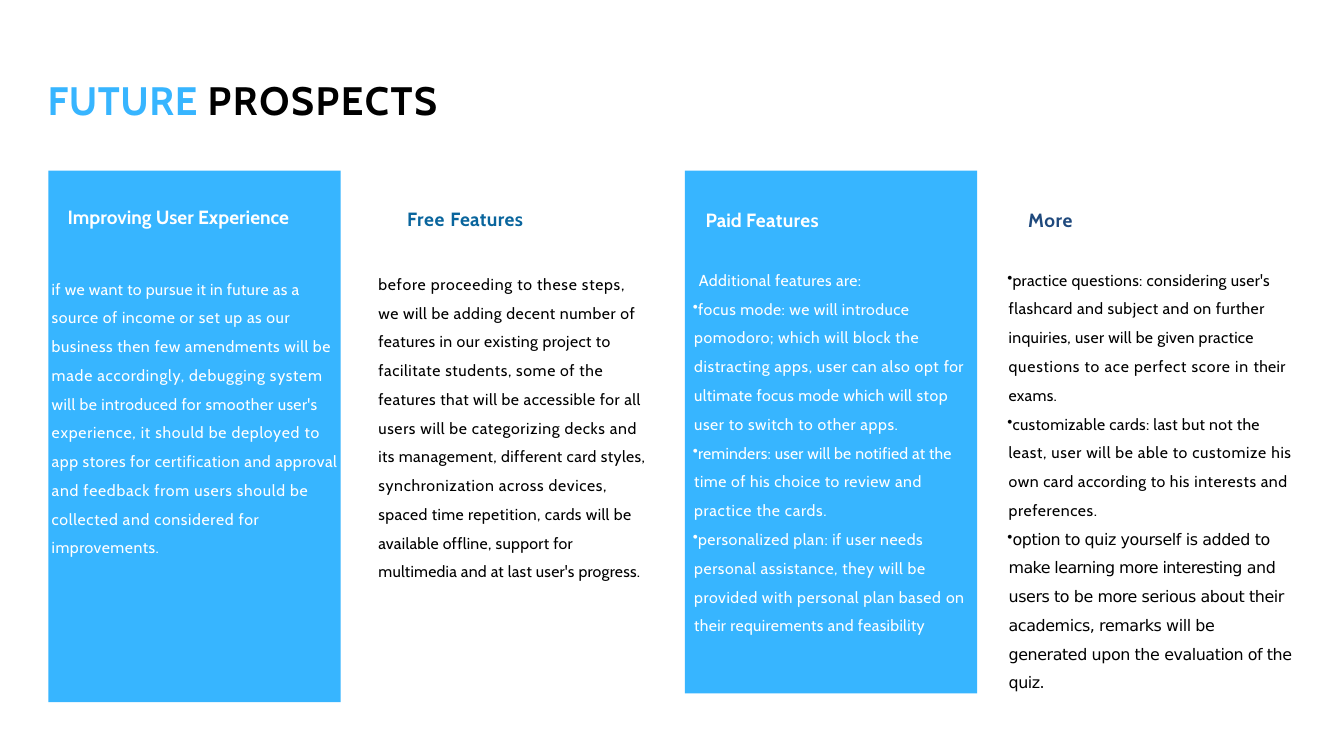
from pptx import Presentation, util as u
from pptx.dml.color import RGBColor
from pptx.enum import shapes, text
from lxml import etree

COLORS = {"sky": "37B5FF", "white": "FFFFFF", "black": "000000",
          "teal": "09659D", "navy": "1F497D"}
WIDTH, HEIGHT = u.Inches(20), u.Inches(11.25)
FONT, WIDE_FONT = "Cabin", "DejaVu Sans"
HEADING_SIZE, BODY_SIZE, BODY_LEADING = 20.5, 17, 1.51
COLUMN_TOP, COLUMN_WIDTH = 22.58, 21.75

# Every phrase carries its letter spacing in hundredths of a point
EXPERIENCE = [
    (34, "if we want to pursue it in future as a "),
    (59, "source of income or set up as our "),
    (57, "business then few amendments will be "),
    (76, "made accordingly, debugging system "),
    (43, "will be introduced for smoother user's "),
    (79, "experience, it should be deployed to "),
    (56, "app stores for certification and approval "),
    (76, "and feedback from users should be "),
    (72, "collected and considered for "),
    (50, "improvements.")]
FREE = [
    (80, "before proceeding to these steps, "),
    (58, "we will be adding decent number of "),
    (45, "features in our existing project to "),
    (65, "facilitate students, some of the "),
    (55, "features that will be accessible for all "),
    (69, "users will be categorizing decks and "),
    (44, "its management, different card styles, "),
    (70, "synchronization across devices, "),
    (43, "spaced time repetition, cards will be "),
    (31, "available offline, support for "),
    (25, "multimedia and at last user's progress.")]
PAID = [
    [(49, "focus mode: we will introduce "),
     (59, "pomodoro; which will block the "),
     (66, "distracting apps, user can also opt "),
     (39, "for ultimate focus mode which will "),
     (63, "stop user to switch to other apps.")],
    [(19, "reminders: user will be notified at the "),
     (58, "time of his choice to review and "),
     (74, "practice the cards.")],
    [(55, "personalized plan: if user needs "),
     (61, "personal assistance, they will be "),
     (59, "provided with personal plan based "),
     (37, "on their requirements and feasibility")]]
MORE = [
    [(34, "practice questions: considering user's "),
     (47, "flashcard and subject and on further "),
     (34, "inquiries, user will be given practice "),
     (81, "questions to ace perfect score in "),
     (30, "their exams.")],
    [(35, "customizable cards: last but not the "),
     (67, "least, user will be able to customize "),
     (55, "his own card according to his "),
     (63, "interests and preferences.")]]
QUIZ = [
    (-46, "option to quiz yourself is added "),
    (-63, "to make learning more interesting "),
    (-45, "and users to be more serious "),
    (-44, "about their academics, remarks "),
    (-44, "will be generated upon the "),
    (-51, "evaluation of the quiz.")]


def share(left, top, width, height):
    """Turn percentages of the slide into a box."""
    return [int(side * part / 100) for side, part in
            zip((WIDTH, HEIGHT, WIDTH, HEIGHT), (left, top, width, height))]


def set_frame(shape, top=0.0, left=0.0):
    frame = shape.text_frame
    settings = {"word_wrap": True, "auto_size": text.MSO_AUTO_SIZE.NONE,
                "vertical_anchor": text.MSO_ANCHOR.TOP,
                "margin_left": u.Inches(left), "margin_right": 0,
                "margin_top": u.Inches(top), "margin_bottom": 0}
    for name, value in settings.items():
        setattr(frame, name, value)
    return frame


def add_phrases(paragraph, phrases, color, size, bold=False, font=FONT):
    for spacing, words in phrases:
        run = paragraph.add_run()
        run.text = words
        for name, value in {"name": font, "size": u.Pt(size), "bold": bold}.items():
            setattr(run.font, name, value)
        run.font.color.rgb = RGBColor.from_string(COLORS[color])
        run.font._element.set("spc", str(spacing))


def add_paragraph(frame, phrases, color, size=BODY_SIZE, indent=0.0, before=0.0,
                  leading=1.0, bullet=False, **style):
    first = frame.paragraphs[0]
    paragraph = frame.add_paragraph() if first.runs else first
    layout = {"alignment": text.PP_ALIGN.LEFT, "space_before": u.Pt(before),
              "space_after": u.Pt(0), "line_spacing": leading}
    for name, value in layout.items():
        setattr(paragraph, name, value)
    properties = paragraph._p.get_or_add_pPr()
    properties.set("marL", str(u.Inches(indent)))
    properties.set("indent", str(u.Inches(-0.02 if bullet else 0)))
    if bullet:
        space = properties.nsmap["a"]
        etree.SubElement(properties, f"{{{space}}}buSzPct", val="94000")
        etree.SubElement(properties, f"{{{space}}}buChar", char="•")
    add_phrases(paragraph, phrases, color, size, **style)


def add_heading(frame, phrases, color, indent=0.0):
    add_paragraph(frame, phrases, color, HEADING_SIZE, indent, bold=True)


def add_panel(slide, box, fill, top):
    panel = slide.shapes.add_shape(shapes.MSO_SHAPE.RECTANGLE, *box)
    panel.shadow.inherit = False
    panel.fill.solid()
    panel.fill.fore_color.rgb = RGBColor.from_string(COLORS[fill])
    panel.line.fill.background()
    return set_frame(panel, top)


def add_box(slide, box, top=0.02, left=0.0):
    return set_frame(slide.shapes.add_textbox(*box), top, left)


def build_title(slide, box):
    title = slide.shapes.title
    title.left, title.top, title.width, title.height = box
    frame = set_frame(title, 0.04)
    add_paragraph(frame, [(60, "FUTURE ")], "sky", 42.5, 0.01, bold=True)
    add_phrases(frame.paragraphs[0], [(180, "PROSPECTS")], "black", 42.5, True)


def build_experience(slide, box):
    panel = add_panel(slide, box, "sky", 1.47)
    add_paragraph(panel, EXPERIENCE, "white", indent=0.05, leading=BODY_LEADING)
    left, top, width, height = box
    heading = add_box(slide, (left + width // 23, top + height // 17,
                              width, height // 17), 0.05, 0.1)
    add_heading(heading, [(0, "Improving User Experience")], "white")


def build_free(slide, box):
    left, top, width, height = box
    heading = add_box(slide, (left + int(width * 0.107), top,
                              int(width * 0.52), int(height * 0.06)))
    add_heading(heading, [(70, "Free "), (40, "Features")], "teal", 0.01)
    body_top = int(height * 0.142)
    body = add_box(slide, (left, top + body_top, width, height - body_top))
    add_paragraph(body, FREE, "black", indent=0.01, leading=BODY_LEADING)


def build_paid(slide, box):
    panel = add_panel(slide, box, "sky", 0.56)
    add_heading(panel, [(0, "Paid "), (40, "Features")], "white", 0.31)
    add_paragraph(panel, [(42, "Additional features are:")], "white",
                  indent=0.21, before=42)
    for feature in PAID:
        add_paragraph(panel, feature, "white", indent=0.14, before=0.1,
                      leading=BODY_LEADING, bullet=True)


def build_more(slide, box):
    panel = add_panel(slide, box, "white", 0.56)
    add_heading(panel, [(60, "More")], "navy", 0.37)
    for order, (feature, font) in enumerate(
            [(MORE[0], FONT), (MORE[1], FONT), (QUIZ, WIDE_FONT)]):
        add_paragraph(panel, feature, "black", indent=0.08, font=font,
                      before=0 if order else 31.5, leading=BODY_LEADING, bullet=True)


def main():
    deck = Presentation()
    deck.slide_width, deck.slide_height = WIDTH, HEIGHT
    slide = deck.slides.add_slide(deck.slide_layouts[5])
    build_title(slide, share(3.5, 9.69, 47.15, 9.16))
    # Four columns, left to right
    build_experience(slide, share(3.6, COLUMN_TOP, COLUMN_WIDTH, 70.31))
    build_free(slide, share(28.1, 27.29, 20.1, 53.24))
    build_paid(slide, share(50.95, COLUMN_TOP, COLUMN_WIDTH, 69.16))
    build_more(slide, share(74.65, COLUMN_TOP, COLUMN_WIDTH, 73.33))
    deck.save("out.pptx")


if __name__ == "__main__":
    main()
